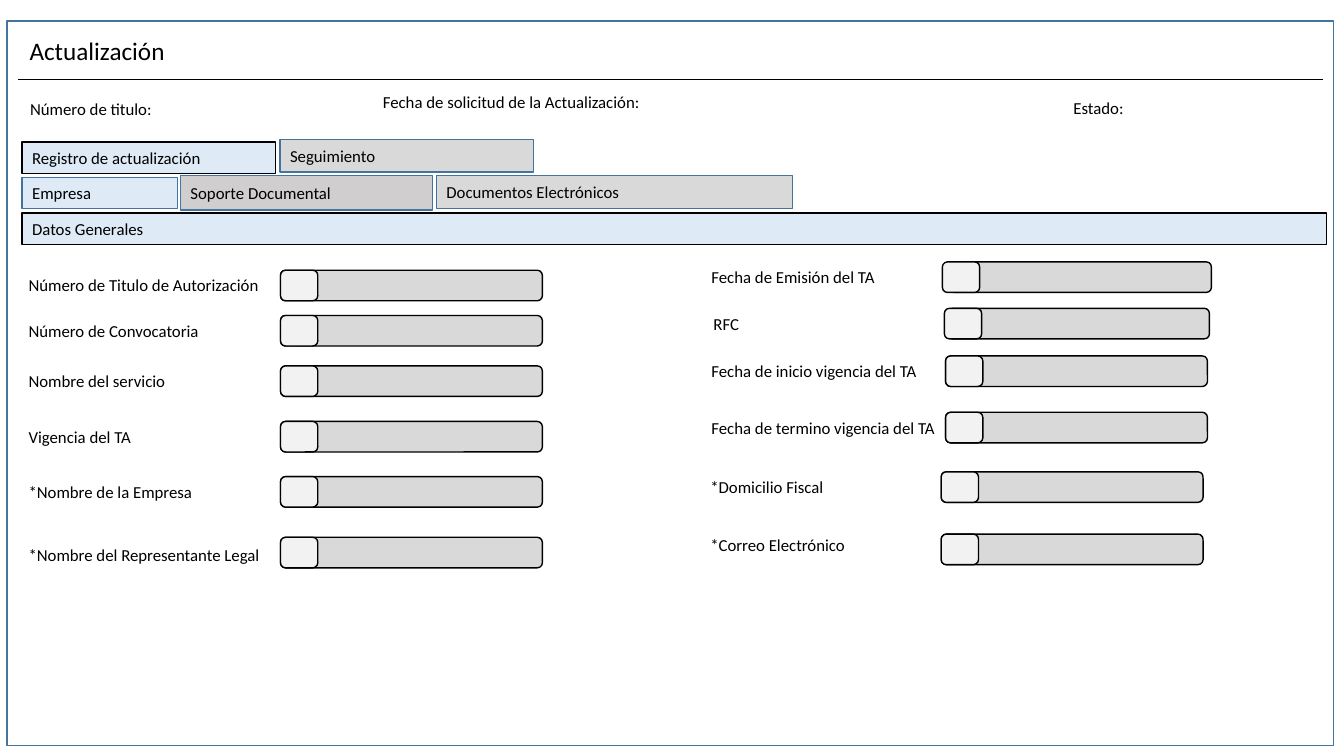
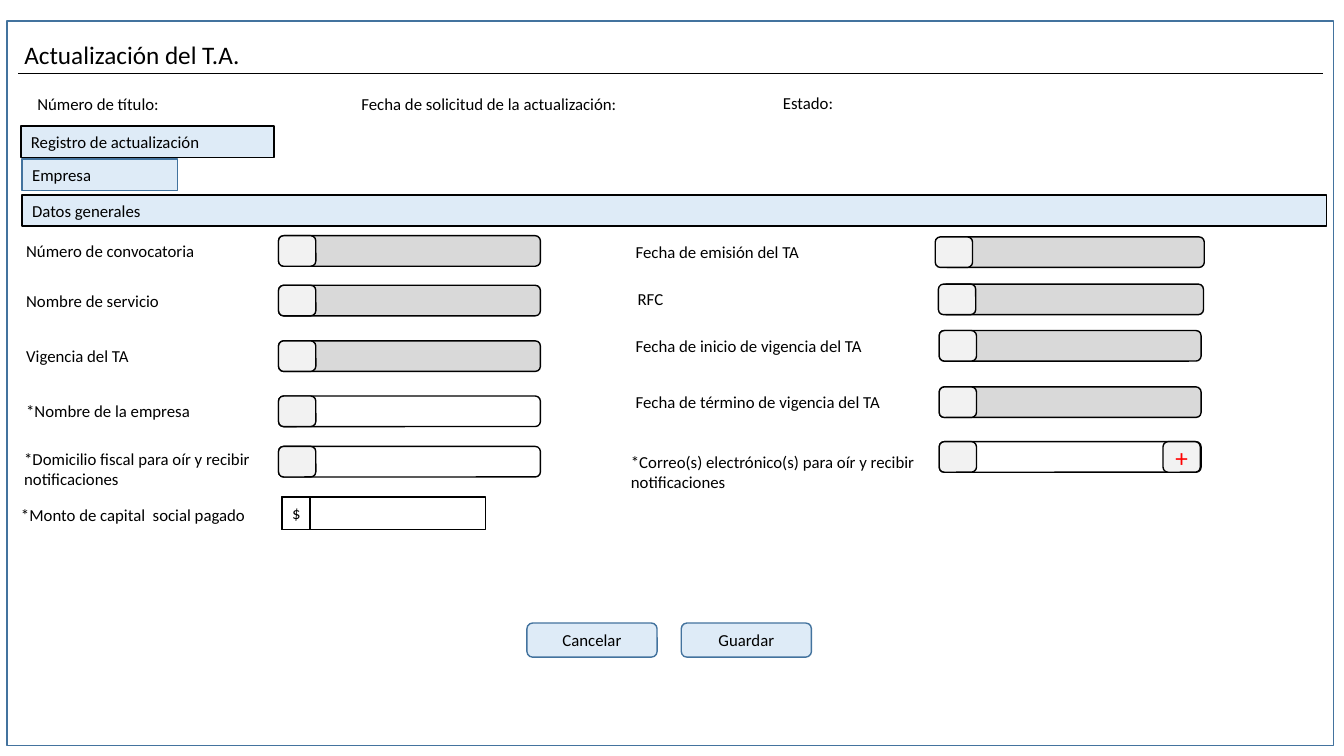
from lxml import etree
from pptx import Presentation
from pptx.dml.color import RGBColor
from pptx.enum.shapes import MSO_CONNECTOR, MSO_SHAPE
from pptx.enum.text import MSO_ANCHOR, MSO_AUTO_SIZE, PP_ALIGN
from pptx.oxml.ns import qn
from pptx.util import Cm, Pt

# Enum members
RECTANGLE = MSO_SHAPE.RECTANGLE
ROUNDED = MSO_SHAPE.ROUNDED_RECTANGLE
STRAIGHT = MSO_CONNECTOR.STRAIGHT
TOP, MIDDLE = MSO_ANCHOR.TOP, MSO_ANCHOR.MIDDLE
LEFT, CENTER = PP_ALIGN.LEFT, PP_ALIGN.CENTER
NO_AUTOFIT = MSO_AUTO_SIZE.NONE

# Shared style
FONT = "Calibri"
BLACK = RGBColor(0x00, 0x00, 0x00)
WHITE = RGBColor(0xFF, 0xFF, 0xFF)
RED = RGBColor(0xFF, 0x00, 0x00)
BORDER_BLUE = RGBColor(0x43, 0x73, 0x9E)
LIGHT_BLUE = RGBColor(0xDE, 0xEB, 0xF7)
GRAY = RGBColor(0xD9, 0xD9, 0xD9)
WARM_GRAY = RGBColor(0xD0, 0xCE, 0xCE)
PALE_GRAY = RGBColor(0xF2, 0xF2, 0xF2)

# Shared sizes in centimetres
TITLE_ONLY = 5
FIELD_WIDTH, FIELD_HEIGHT = 6.6, 0.77
CHIP_WIDTH = 0.94
LABEL_WIDTH = 9.12
TAB_HEIGHT = 0.79
BUTTON_WIDTH, BUTTON_HEIGHT = 3.28, 0.86


def write_text(shape, text, size=12, color=BLACK, align=LEFT, anchor=MIDDLE):
    frame = shape.text_frame
    frame.word_wrap = True
    frame.auto_size = NO_AUTOFIT
    frame.vertical_anchor = anchor
    paragraph = frame.paragraphs[0]
    paragraph.alignment = align
    run = paragraph.add_run()
    run.text = text
    run.font.name = FONT
    run.font.size = Pt(size)
    run.font.color.rgb = color


def add_box(slide, left, top, width, height, fill=None, line=BLACK,
            kind=RECTANGLE, text=None, **text_format):
    shape = slide.shapes.add_shape(kind, Cm(left), Cm(top), Cm(width), Cm(height))
    shape.shadow.inherit = False
    if fill is None:
        shape.fill.background()
    else:
        shape.fill.solid()
        shape.fill.fore_color.rgb = fill
    shape.line.color.rgb = line
    shape.line.width = Pt(1)
    if text:
        write_text(shape, text, **text_format)
    return shape


def add_label(slide, text, left, top, width=LABEL_WIDTH, height=FIELD_HEIGHT):
    label = slide.shapes.add_textbox(Cm(left), Cm(top), Cm(width), Cm(height))
    write_text(label, text, anchor=TOP)


def add_rule(slide, top):
    rule = slide.shapes.add_connector(STRAIGHT, Cm(0.46), Cm(top), Cm(33.33), Cm(top))
    rule.line.color.rgb = BLACK
    rule.line.width = Pt(0.5)
    etree.SubElement(rule._element.spPr, qn("a:effectLst"))


def add_chip(slide, left, top, **text_format):
    add_box(slide, left, top, CHIP_WIDTH, FIELD_HEIGHT, fill=PALE_GRAY,
            kind=ROUNDED, **text_format)


def add_field(slide, text, label_left, chip_left, top, label_top=None,
              bar_shift=0, fill=GRAY, label_width=LABEL_WIDTH):
    """Draw a label, its input bar and the small chip at the bar's left end."""
    add_box(slide, chip_left + bar_shift, top, FIELD_WIDTH, FIELD_HEIGHT,
            fill=fill, kind=ROUNDED)
    add_chip(slide, chip_left, top)
    add_label(slide, text, label_left, top if label_top is None else label_top,
              width=label_width)


def add_tab(slide, text, left, top, width, height=TAB_HEIGHT,
            fill=LIGHT_BLUE, line=BORDER_BLUE):
    add_box(slide, left, top, width, height, fill=fill, line=line, text=text)


def add_form_slide(presentation, title, title_left, title_top, rule_top,
                   summary, section, section_top):
    """Add a slide with the frame, title, summary line and section band."""
    slide = presentation.slides.add_slide(presentation.slide_layouts[TITLE_ONLY])
    heading = slide.shapes.title
    heading.left, heading.top = Cm(title_left), Cm(title_top)
    heading.width, heading.height = Cm(12.98), Cm(1.03)
    write_text(heading, title, size=18, anchor=TOP)
    add_box(slide, 0.18, 0.53, 33.43, 18.26, line=BORDER_BLUE)
    add_rule(slide, rule_top)
    for text, left, top in summary:
        add_label(slide, text, left, top, width=7.6)
    add_tab(slide, section, 0.56, section_top, 32.87, line=BLACK)
    add_tab(slide, "Empresa", 0.56, section_top - 0.9, 3.91)
    return slide


def build_update_slide(presentation):
    slide = add_form_slide(
        presentation, "Actualización", 0.49, 0.76, 2.01,
        [("Número de titulo:", 0.51, 2.36),
         ("Fecha de solicitud de la Actualización:", 9.4, 2.18),
         ("Estado:", 26.8, 2.34)],
        "Datos Generales", 5.37)

    # Tabs
    add_tab(slide, "Registro de actualización", 0.56, 3.58, 6.38, line=BLACK)
    add_tab(slide, "Seguimiento", 7.06, 3.52, 6.38, height=0.82, fill=GRAY)
    add_tab(slide, "Soporte Documental", 4.55, 4.43, 6.35, height=0.86, fill=WARM_GRAY)
    add_tab(slide, "Documentos Electrónicos", 11.0, 4.43, 8.97, height=0.83, fill=GRAY)

    # Left column
    for text, top in [("Número de Titulo de Autorización", 6.81),
                      ("Número de Convocatoria", 7.95),
                      ("Nombre del servicio", 9.22),
                      ("Vigencia del TA", 10.62),
                      ("*Nombre de la Empresa", 12.01)]:
        add_field(slide, text, 0.47, 7.07, top)
    add_field(slide, "*Nombre del Representante Legal", 0.47, 7.07, 13.54, label_top=13.59)

    # Right column
    add_field(slide, "Fecha de Emisión del TA", 17.68, 23.75, 6.6, bar_shift=0.18)
    add_field(slide, "RFC", 17.73, 23.8, 7.77, bar_shift=0.08)
    add_field(slide, "Fecha de inicio vigencia del TA", 17.68, 23.83, 8.97)
    add_field(slide, "Fecha de termino vigencia del TA", 17.68, 23.83, 10.39)
    add_field(slide, "*Domicilio Fiscal", 17.65, 23.72, 11.89)
    add_field(slide, "*Correo Electrónico", 17.65, 23.72, 13.46, label_top=13.36)


def build_title_update_slide(presentation):
    slide = add_form_slide(
        presentation, "Actualización del T.A.", 0.36, 0.86, 1.85,
        [("Número de título:", 0.69, 2.24),
         ("Fecha de solicitud de la actualización:", 8.86, 2.24),
         ("Estado:", 19.48, 2.21)],
        "Datos generales", 4.91)
    add_tab(slide, "Registro de actualización", 0.53, 3.18, 6.38, line=BLACK)

    # Left column
    for text, top, fill in [("Número de convocatoria", 5.94, GRAY),
                            ("Nombre de servicio", 7.19, GRAY),
                            ("Vigencia del TA", 8.59, GRAY),
                            ("*Nombre de la empresa", 9.98, WHITE)]:
        add_field(slide, text, 0.41, 7.02, top, fill=fill)
    add_field(slide, "*Domicilio fiscal para oír y recibir notificaciones",
              0.36, 7.02, 11.25, label_top=11.18, fill=WHITE, label_width=7.5)

    # Capital amount
    add_label(slide, "*Monto de capital  social pagado", 0.28, 12.6)
    add_box(slide, 7.11, 12.52, 5.13, 0.83, fill=WHITE)
    add_box(slide, 7.11, 12.52, 0.7, 0.83, fill=WHITE, text="$", align=CENTER)

    # Right column
    add_field(slide, "Fecha de emisión del TA", 15.77, 23.57, 5.97, bar_shift=0.18)
    add_field(slide, "RFC", 15.82, 23.65, 7.16, bar_shift=0.08)
    add_field(slide, "Fecha de inicio de vigencia del TA", 15.77, 23.67, 8.33)
    add_field(slide, "Fecha de término de vigencia del TA", 15.77, 23.67, 9.75)
    add_field(slide, "*Correo(s) electrónico(s) para oír y recibir notificaciones",
              15.65, 23.67, 11.13, label_top=11.25, fill=WHITE)
    add_chip(slide, 29.31, 11.13, text="+", size=18, color=RED, align=CENTER)

    # Buttons
    for index, text in enumerate(["Cancelar", "Guardar"]):
        add_box(slide, 13.28 + index * 3.89, 15.7, BUTTON_WIDTH, BUTTON_HEIGHT,
                fill=LIGHT_BLUE, line=BORDER_BLUE, kind=ROUNDED,
                text=text, align=CENTER)


def main():
    presentation = Presentation()
    presentation.slide_width = Cm(33.87)
    presentation.slide_height = Cm(19.05)
    build_update_slide(presentation)
    build_title_update_slide(presentation)
    presentation.save("out.pptx")


if __name__ == "__main__":
    main()
